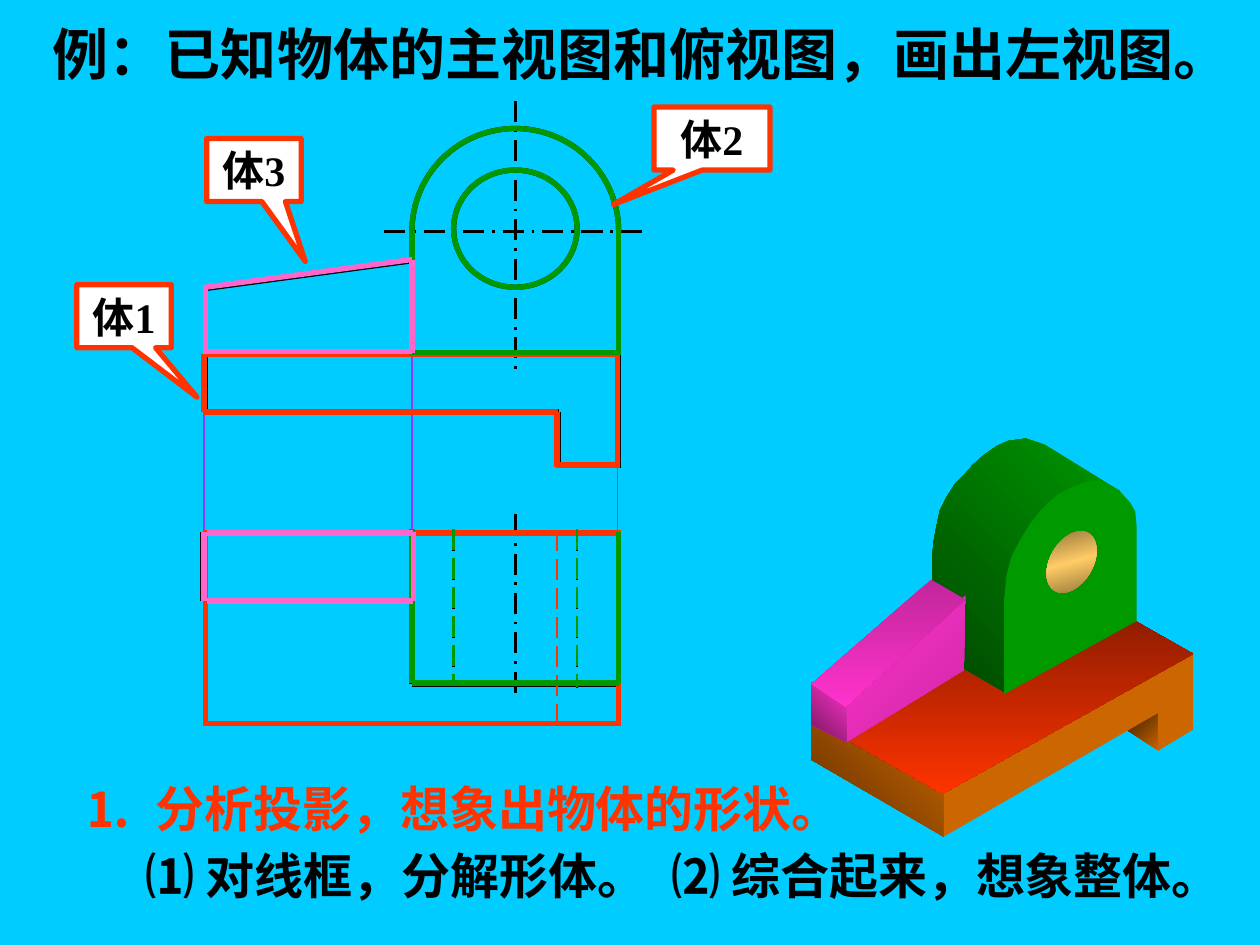
from dataclasses import dataclass

from lxml.etree import SubElement
from pptx import Presentation
from pptx.dml.color import RGBColor
from pptx.enum.dml import MSO_LINE
from pptx.enum.shapes import MSO_CONNECTOR, MSO_SHAPE
from pptx.enum.text import MSO_ANCHOR, MSO_AUTO_SIZE, PP_ALIGN
from pptx.oxml.ns import qn
from pptx.util import Inches, Pt

SANS, SERIF = "Noto Sans CJK SC", "Times New Roman"
BLACK, WHITE, SKY = "000000", "FFFFFF", "00CCFF"
RED, GREEN, PINK, PURPLE = "FF3300", "009900", "FF66CC", "9933FF"


@dataclass
class View:
    """One body in one view: lines are (x1, y1, x2, y2)."""
    color: str
    shift: tuple
    solid: list
    dashed: tuple = ()
    ring: tuple = ()
    arch: tuple = ()


@dataclass
class Face:
    """One face of the solid model; more than one colour makes a gradient."""
    points: list
    colors: tuple
    angle: int = 0


@dataclass
class Callout:
    text: str
    box: tuple
    tip: tuple


def rgb(color: str) -> RGBColor:
    return RGBColor.from_string(color)


def place(shape, box: tuple) -> None:
    shape.left, shape.top, shape.width, shape.height = map(Inches, box)


def write(shape, text: str, *, size=28, color=BLACK, latin=SANS, align=PP_ALIGN.LEFT) -> None:
    frame = shape.text_frame
    frame.word_wrap = False
    frame.auto_size = MSO_AUTO_SIZE.NONE
    frame.vertical_anchor = MSO_ANCHOR.MIDDLE
    paragraph = frame.paragraphs[0]
    paragraph.alignment = align
    paragraph.space_before = Pt(0)
    run = paragraph.add_run()
    run.text = text
    run.font.size, run.font.bold, run.font.name = Pt(size), True, latin
    run.font.color.rgb = rgb(color)
    SubElement(run._r.get_or_add_rPr(), qn("a:ea"), typeface=SANS)


def paint(shape, colors: tuple, angle: int = 0) -> None:
    shape.shadow.inherit = False
    shape.line.fill.background()
    if len(colors) == 1:
        shape.fill.solid()
        shape.fill.fore_color.rgb = rgb(colors[0])
        return
    shape.fill.gradient()
    shape.fill.gradient_angle = 360 - angle
    stops = shape._element.spPr.find(".//" + qn("a:gsLst"))
    stops.clear()
    for index, color in enumerate(colors):
        position = 100000 * index // (len(colors) - 1)
        stop = SubElement(stops, qn("a:gs"), pos=str(position))
        SubElement(stop, qn("a:srgbClr"), val=color)


def draw_line(shapes, ends: tuple, color: str, width=3.0, dash=None) -> None:
    line = shapes.add_connector(MSO_CONNECTOR.STRAIGHT, *map(Inches, ends))
    line.line.color.rgb = rgb(color)
    line.line.width = Pt(width)
    if dash:
        line.line.dash_style = dash
    SubElement(line._element.spPr, qn("a:effectLst"))


def draw_outline(shapes, kind, box: tuple, color: str):
    shape = shapes.add_shape(kind, *map(Inches, box))
    shape.shadow.inherit = False
    shape.fill.background()
    shape.line.color.rgb = rgb(color)
    shape.line.width = Pt(3)
    return shape


def draw_view(shapes, view: View, color: str, shift: tuple) -> None:
    dx, dy = shift

    def moved(ends):
        x1, y1, x2, y2 = ends
        return x1 + dx, y1 + dy, x2 + dx, y2 + dy

    for ends in view.solid:
        draw_line(shapes, moved(ends), color)
    for ends in view.dashed:
        draw_line(shapes, moved(ends), color, 1.5, MSO_LINE.LONG_DASH)
    if view.ring:
        draw_outline(shapes, MSO_SHAPE.OVAL, view.ring, color)
    if view.arch:
        arc = draw_outline(shapes, MSO_SHAPE.ARC, view.arch, color)
        arc.adjustments[0], arc.adjustments[1] = 108, 0  # 180° to 0°


def draw_face(shapes, face: Face) -> None:
    first, *rest = [(Inches(x), Inches(y)) for x, y in face.points]
    builder = shapes.build_freeform(*first)
    builder.add_line_segments(rest, close=True)
    paint(builder.convert_to_shape(), face.colors, face.angle)


def draw_callout(shapes, callout: Callout) -> None:
    shape = draw_outline(shapes, MSO_SHAPE.RECTANGULAR_CALLOUT, callout.box, RED)
    shape.fill.solid()
    shape.fill.fore_color.rgb = rgb(WHITE)
    shape.adjustments[0], shape.adjustments[1] = callout.tip
    write(shape, callout.text, size=24, latin=SERIF, align=PP_ALIGN.CENTER)


VIEWS = [
    # Base, front and top
    View(RED, (-0.01, 0), [
        (4.91, 2.81, 1.63, 2.81), (4.42, 3.69, 4.93, 3.69), (1.63, 3.27, 4.44, 3.27),
        (1.63, 2.81, 1.63, 3.27), (4.43, 3.71, 4.43, 3.27), (4.91, 2.81, 4.91, 3.71)]),
    View(RED, (0, 0), [
        (4.91, 4.21, 4.91, 5.76), (1.63, 5.74, 4.91, 5.74),
        (1.63, 4.23, 4.91, 4.23), (1.63, 4.21, 1.63, 5.76)],
        dashed=((4.42, 4.21, 4.42, 5.76),)),
    # Upright plate, front and top
    View(GREEN, (0, -0.01), [
        (3.27, 2.81, 4.91, 2.81), (4.91, 2.83, 4.91, 1.84), (3.27, 1.84, 3.27, 2.83)],
        ring=(3.6, 1.35, 0.98, 0.93), arch=(3.27, 1.02, 1.64, 1.63)),
    View(GREEN, (0, -0.01), [
        (3.27, 4.21, 3.27, 5.43), (3.27, 5.43, 4.91, 5.43), (4.91, 4.23, 4.91, 5.43)],
        dashed=((3.6, 4.21, 3.6, 5.43), (4.58, 4.21, 4.58, 5.46))),
    # Rib, front and top
    View(PINK, (0, -0.01), [
        (1.63, 2.29, 3.27, 2.07), (1.63, 2.82, 1.63, 2.27),
        (3.27, 2.8, 1.63, 2.8), (3.27, 2.81, 3.27, 2.07)]),
    View(PINK, (0.01, 0), [
        (1.63, 4.23, 3.27, 4.23), (1.63, 4.77, 3.27, 4.77),
        (1.61, 4.22, 1.61, 4.77), (3.27, 4.22, 3.27, 4.77)]),
]
GUIDES = [(1.62, 2.81, 1.62, 4.23), (3.27, 2.79, 3.27, 4.23), (4.9, 2.79, 4.9, 4.23)]
AXES = [(4.09, 0.8, 4.09, 2.97), (3.05, 1.84, 5.13, 1.84), (4.09, 4.08, 4.09, 5.54)]
CALLOUTS = [
    Callout("体1", (0.61, 2.26, 0.75, 0.5), (0.771, 1.285)),
    Callout("体2", (5.19, 0.85, 0.92, 0.5), (-0.848, 1.045)),
    Callout("体3", (1.64, 1.1, 0.75, 0.5), (0.544, 1.451)),
]
BASE_FACES = [
    Face([(8.94, 5.79), (9.2, 5.96), (9.19, 5.64)], ("CC6600", "3B1D00"), 225),
    Face([(6.44, 5.7), (7.49, 6.3), (7.49, 6.64), (6.44, 6.03)], ("CC6600", "5E2F00"), 135),
    Face([(7.49, 6.29), (7.49, 6.64), (9.19, 5.66), (9.19, 5.96), (9.47, 5.79),
          (9.47, 5.17)], ("CC6600",)),
    Face([(6.44, 5.71), (8.4, 4.58), (9.47, 5.19), (7.48, 6.3)], ("751700", RED), 90),
]
PLATE_FACES = [
    Face([(7.97, 5.49), (7.4, 5.16), (7.4, 4.41), (7.41, 4.3), (7.43, 4.19), (7.46, 4.05),
          (7.51, 3.95), (7.58, 3.84), (7.66, 3.76), (7.72, 3.69), (7.81, 3.61), (7.91, 3.54),
          (8, 3.5), (8.14, 3.48), (8.29, 3.53), (8.89, 3.9), (8.6, 3.84), (8.37, 3.98),
          (8.17, 4.18), (8.06, 4.39), (7.99, 4.66)], (GREEN, "004600"), 135),
    Face([(7.97, 5.51), (9.02, 4.93), (9.02, 4.17), (9.01, 4.06), (8.97, 3.99), (8.88, 3.89),
          (8.81, 3.85), (8.71, 3.81), (8.6, 3.83), (8.5, 3.87), (8.4, 3.92), (8.32, 3.99),
          (8.26, 4.05), (8.18, 4.15), (8.1, 4.28), (8.03, 4.41), (7.99, 4.56),
          (7.97, 4.75)], (GREEN,)),
]
RIB_FACES = [
    Face([(7.66, 4.73), (7.65, 5.32), (6.72, 5.89), (6.72, 5.57)], ("CC28A3", "FF33CC"), 225),
    Face([(6.44, 5.42), (6.72, 5.6), (6.72, 5.89), (6.44, 5.75)], ("FF33CC", "75175E"), 135),
    Face([(6.44, 5.43), (6.71, 5.61), (7.66, 4.76), (7.39, 4.6)], ("C2269B", "FF33CC"), 90),
]


def main() -> None:
    presentation = Presentation()
    presentation.slide_width, presentation.slide_height = Inches(10), Inches(7.5)
    slide = presentation.slides.add_slide(presentation.slide_layouts[1])
    slide.background.fill.solid()
    slide.background.fill.fore_color.rgb = rgb(SKY)
    shapes = slide.shapes

    # Title, step heading and its two sub-steps
    title, body = shapes.title, slide.placeholders[1]
    place(title, (0.32, 0.1, 9.54, 0.64))
    write(title, "例：已知物体的主视图和俯视图，画出左视图。", size=32)
    place(body, (0.57, 6.13, 6.2, 0.57))
    write(body, "⒈  分析投影，想象出物体的形状。", color=RED)
    properties = body.text_frame.paragraphs[0]._p.get_or_add_pPr()
    properties.set("marL", "0")
    properties.set("indent", "0")
    SubElement(properties, qn("a:buNone"))
    for left, width, text in [(1.06, 4.17, "⑴ 对线框，分解形体。"),
                              (5.23, 4.56, "⑵ 综合起来，想象整体。")]:
        write(shapes.add_textbox(*map(Inches, (left, 6.66, width, 0.57))), text)

    # Two views: guides, axes, black outlines, then each body in its colour
    for ends in GUIDES:
        draw_line(shapes, ends, PURPLE, 1)
    for ends in AXES:
        draw_line(shapes, ends, BLACK, 1.5, MSO_LINE.LONG_DASH_DOT)
    for view in VIEWS:
        draw_view(shapes, view, BLACK, (0, 0))
    for view in VIEWS:
        draw_view(shapes, view, view.color, view.shift)
    for callout in CALLOUTS:
        draw_callout(shapes, callout)

    # Solid model, with the hole in the plate
    for face in BASE_FACES + PLATE_FACES:
        draw_face(shapes, face)
    hole = shapes.add_shape(MSO_SHAPE.OVAL, *map(Inches, (8.24, 4.29, 0.53, 0.34)))
    hole.rotation = 300.2
    paint(hole, ("755E2F", "FFCC66", "755E2F"), 135)
    for face in RIB_FACES:
        draw_face(shapes, face)

    presentation.save("out.pptx")


if __name__ == "__main__":
    main()
